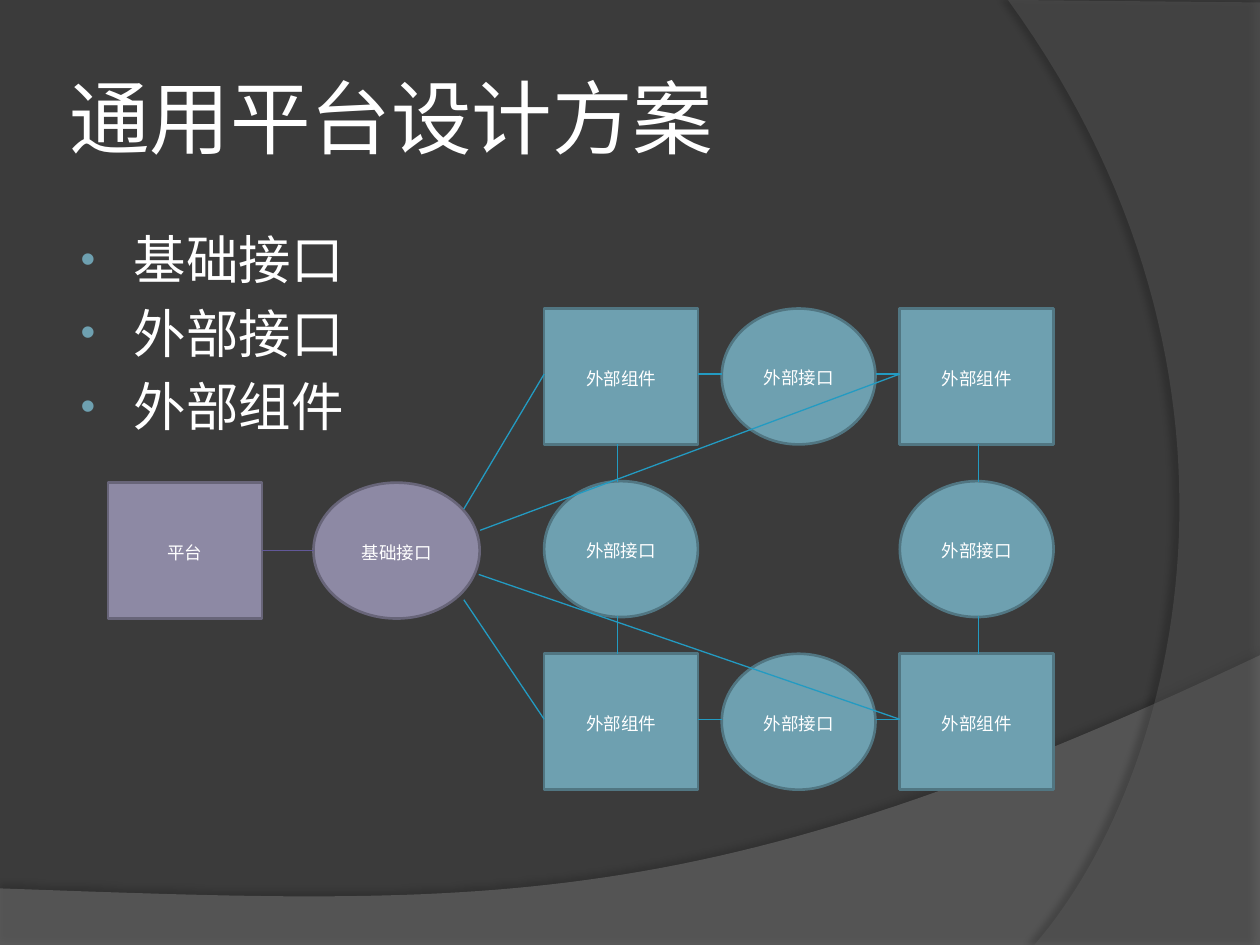
"""Build the general platform design slide with its component diagram."""
from dataclasses import dataclass
from itertools import product

from lxml import etree
from pptx import Presentation
from pptx import util as u
from pptx.dml.color import RGBColor
from pptx.enum import shapes, text
from pptx.oxml.ns import qn

Point = tuple[float, float]


@dataclass(frozen=True)
class Palette:
    fill: str
    outline: str
    link: str


@dataclass(frozen=True)
class Theme:
    background: str = "3B3B3B"
    white: str = "FFFFFF"
    shadow: str = "000000"
    bullet: str = "6EA0B0"
    heading_font: str = "Lato"
    body_font: str = "Arial"
    title_size: float = 46
    body_size: float = 30
    node_size: float = 10
    outline_width: float = 1.5
    link_width: float = 0.75
    core: Palette = Palette("8D89A4", "686579", "625899")
    external: Palette = Palette("6EA0B0", "517682", "239BC2")


@dataclass(frozen=True)
class Node:
    label: str
    left: float
    top: float
    is_interface: bool
    palette: Palette
    width: float = 3.1
    height: float = 2.74


@dataclass(frozen=True)
class Link:
    start: Point
    end: Point
    palette: Palette


@dataclass(frozen=True)
class Wave:
    outline: list[Point]
    color: str
    opacity: int
    shadow_opacity: int
    shadow_distance: float
    shadow_angle: int


THEME = Theme()
COLUMNS = (10.97, 14.55, 18.14)
ROWS = (6.22, 9.7, 13.18)
LINK_ROWS = (7.54, 14.5)


def color(value: str) -> RGBColor:
    """Turn a hex string into a colour."""
    return RGBColor.from_string(value)


def apply(target, values: dict) -> None:
    """Set each named attribute on the target."""
    for name, value in values.items():
        setattr(target, name, value)


def style_run(paragraph, wording: str, font: str, size: float) -> None:
    """Write one white run into a paragraph."""
    run = paragraph.add_run()
    run.text = wording
    apply(run.font, {"name": font, "size": u.Pt(size)})
    run.font.color.rgb = color(THEME.white)


def curve(start: Point, first: Point, second: Point, end: Point, steps: int = 60) -> list[Point]:
    """Sample a cubic Bezier curve."""
    points = []
    for step in range(steps + 1):
        t = step / steps
        weights = ((1 - t) ** 3, 3 * t * (1 - t) ** 2, 3 * t * t * (1 - t), t ** 3)
        points.append(tuple(sum(w * p[axis] for w, p in zip(weights, (start, first, second, end)))
                            for axis in (0, 1)))
    return points


def add_child(parent, tag: str, **attributes):
    """Append a DrawingML child element."""
    return etree.SubElement(parent, qn(tag), {key: str(value) for key, value in attributes.items()})


def draw_wave(slide, wave: Wave, layer: int) -> None:
    """Draw a translucent background shape with a soft shadow."""
    points = [(u.Cm(x), u.Cm(y)) for x, y in wave.outline]
    builder = slide.shapes.build_freeform(*points[0])
    builder.add_line_segments(points[1:], close=True)
    shape = builder.convert_to_shape()
    shape.fill.solid()
    shape.fill.fore_color.rgb = color(wave.color)
    shape.line.fill.background()
    shape.shadow.inherit = False
    properties = shape.element.spPr
    add_child(properties.find(f".//{qn('a:srgbClr')}"), "a:alpha", val=wave.opacity * 1000)
    shadow = add_child(properties.find(qn("a:effectLst")), "a:outerShdw", blurRad=u.Pt(4),
                       dist=u.Pt(wave.shadow_distance), dir=wave.shadow_angle * 60000,
                       algn="ctr", rotWithShape=0)
    shade = add_child(shadow, "a:srgbClr", val=THEME.shadow)
    add_child(shade, "a:alpha", val=wave.shadow_opacity * 1000)
    slide.shapes.element.insert(2 + layer, shape.element)


def draw_node(slide, node: Node) -> None:
    """Draw a component as a rectangle or an interface as an ellipse."""
    kind = shapes.MSO_SHAPE.OVAL if node.is_interface else shapes.MSO_SHAPE.RECTANGLE
    shape = slide.shapes.add_shape(kind, *map(u.Cm, (node.left, node.top, node.width, node.height)))
    shape.shadow.inherit = False
    shape.fill.solid()
    shape.fill.fore_color.rgb = color(node.palette.fill)
    shape.line.color.rgb = color(node.palette.outline)
    shape.line.width = u.Pt(THEME.outline_width)
    apply(shape.text_frame, {"word_wrap": True, "vertical_anchor": text.MSO_ANCHOR.MIDDLE})
    paragraph = shape.text_frame.paragraphs[0]
    apply(paragraph, {"alignment": text.PP_ALIGN.CENTER, "line_spacing": 1.15,
                      "space_before": u.Pt(10), "space_after": u.Pt(10)})
    style_run(paragraph, node.label, THEME.body_font, THEME.node_size)


def draw_link(slide, link: Link) -> None:
    """Draw a thin straight connector."""
    connector = slide.shapes.add_connector(shapes.MSO_CONNECTOR.STRAIGHT,
                                           *map(u.Cm, link.start + link.end))
    connector.line.color.rgb = color(link.palette.link)
    connector.line.width = u.Pt(THEME.link_width)
    add_child(connector.element.spPr, "a:effectLst")


def place(shape, left: float, top: float, width: float, height: float) -> None:
    """Position a shape in centimetres."""
    apply(shape, dict(zip(("left", "top", "width", "height"), map(u.Cm, (left, top, width, height)))))


def write_title(shape, wording: str) -> None:
    """Fill and format the title placeholder."""
    place(shape, 1.27, 0.76, 20.75, 3.18)
    frame = shape.text_frame
    apply(frame, {f"margin_{side}": u.Cm(0.13) for side in ("left", "right", "top", "bottom")})
    apply(frame, {"vertical_anchor": text.MSO_ANCHOR.MIDDLE, "auto_size": text.MSO_AUTO_SIZE.NONE})
    frame.paragraphs[0].alignment = text.PP_ALIGN.LEFT
    style_run(frame.paragraphs[0], wording, THEME.heading_font, THEME.title_size)


def write_list(shape, items: list[str]) -> None:
    """Fill the body placeholder with coloured bullets."""
    place(shape, 1.27, 4.45, 20.75, 12.57)
    frame = shape.text_frame
    frame.auto_size = text.MSO_AUTO_SIZE.NONE
    for index, item in enumerate(items):
        paragraph = frame.add_paragraph() if index else frame.paragraphs[0]
        paragraph.space_before = u.Pt(6)
        style_run(paragraph, item, THEME.body_font, THEME.body_size)
        properties = paragraph._p.get_or_add_pPr()
        apply(properties, {"marL": u.Cm(1.17), "indent": u.Cm(-1.07)})
        for name, value in {"marL": u.Cm(1.17), "indent": u.Cm(-1.07)}.items():
            properties.set(name, str(value))
        add_child(add_child(properties, "a:buClr"), "a:srgbClr", val=THEME.bullet)
        add_child(properties, "a:buSzPct", val=80000)
        add_child(properties, "a:buFont", typeface=THEME.body_font)
        add_child(properties, "a:buChar", char="•")


def diagram() -> tuple[list[Node], list[Link]]:
    """Lay out the platform and the ring of external parts."""
    nodes = [Node("平台", 2.18, 9.73, False, THEME.core),
             Node("基础接口", 6.32, 9.73, True, THEME.core, width=3.35)]
    for (row, top), (column, left) in product(enumerate(ROWS), enumerate(COLUMNS)):
        if (row, column) != (1, 1):
            is_interface = (row + column) % 2 == 1
            label = "外部接口" if is_interface else "外部组件"
            nodes.append(Node(label, left, top, is_interface, THEME.external))
    upper, lower = LINK_ROWS
    near, far = COLUMNS[0], COLUMNS[2]
    ends = [((x, y), (x + 0.48, y)) for y, x in product(LINK_ROWS, (14.07, 17.65))]
    ends += [((x, y), (x, y + 0.77)) for x, y in product((12.45, 19.72), (8.95, 12.41))]
    ends += [((9.35, 10.26), (near, upper)), ((9.68, 10.69), (far, upper)),
             ((9.35, 12.09), (near, lower)), ((9.65, 11.58), (far, lower))]
    links = [Link((5.28, 11.1), (6.32, 11.1), THEME.core)]
    return nodes, links + [Link(start, end, THEME.external) for start, end in ends]


def main() -> None:
    """Assemble and save the slide."""
    presentation = Presentation()
    apply(presentation, {"slide_width": u.Cm(25.4), "slide_height": u.Cm(19.05)})
    slide = presentation.slides.add_slide(presentation.slide_layouts[1])
    slide.background.fill.solid()
    slide.background.fill.fore_color.rgb = color(THEME.background)
    bottom = curve((25.4, 13.21), (14.2, 18.52), (9.93, 18.26), (0, 17.91))
    side = curve((20.85, 19.05), (23.75, 15.72), (25.86, 7.62), (20.32, 0))
    waves = [Wave([(0, 19.08), (25.4, 19.08)] + bottom, "7F7F7F", 45, 35, 3.5, 270),
             Wave([(25.4, 0.05), (25.4, 19.05)] + side, "5E5E5E", 40, 45, 4, 180)]
    for layer, wave in enumerate(waves):
        draw_wave(slide, wave, layer)
    write_title(slide.shapes.title, "通用平台设计方案")
    write_list(slide.placeholders[1], ["基础接口", "外部接口", "外部组件"])
    nodes, links = diagram()
    for node in nodes:
        draw_node(slide, node)
    for link in links:
        draw_link(slide, link)
    presentation.save("out.pptx")


if __name__ == "__main__":
    main()
